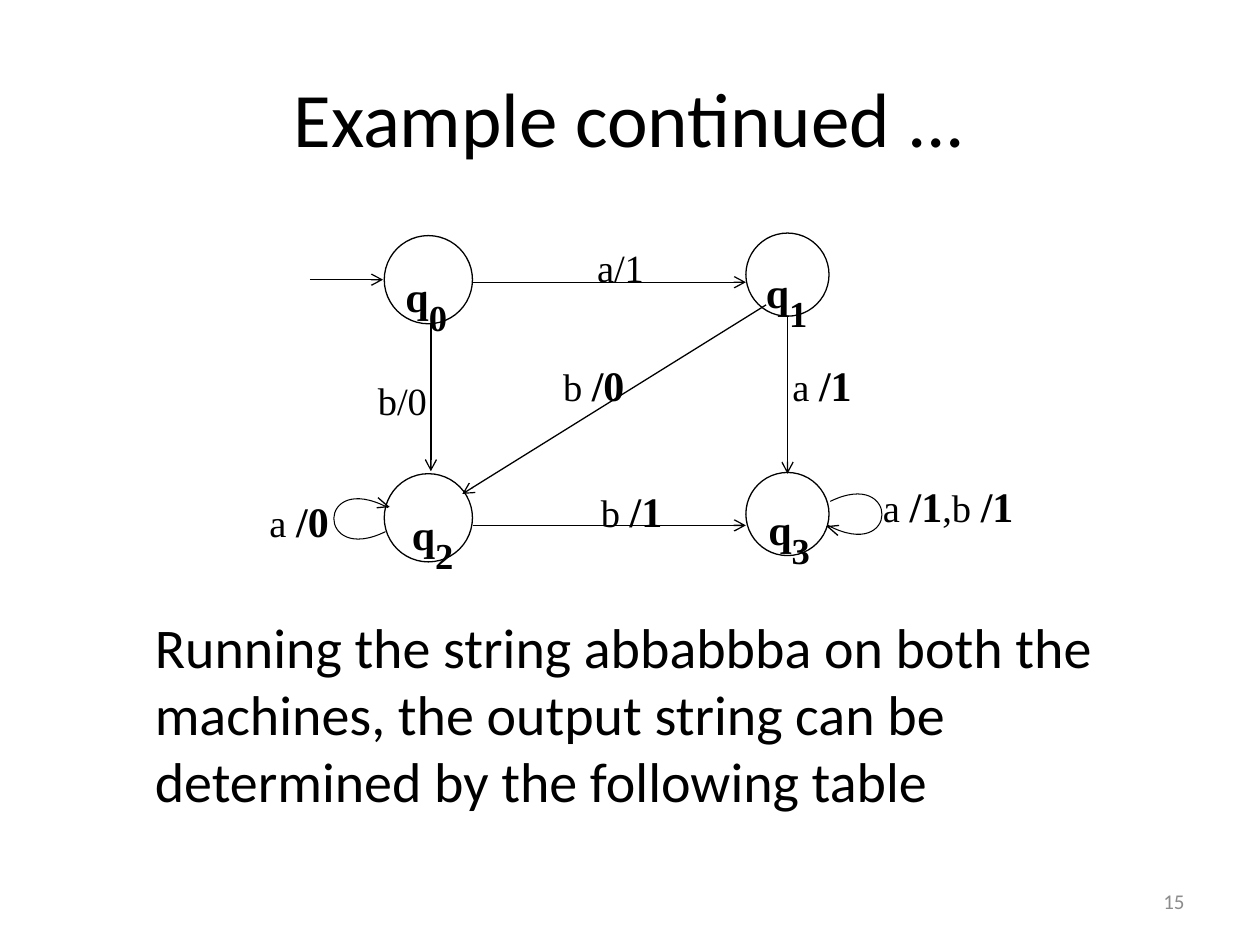
from lxml.etree import SubElement
from pptx import Presentation
from pptx.dml.color import RGBColor
from pptx.enum.shapes import MSO_CONNECTOR, MSO_SHAPE
from pptx.enum.text import MSO_ANCHOR, PP_ALIGN
from pptx.oxml.ns import qn
from pptx.util import Inches, Pt

COLORS = {"ink": "000000", "paper": "FFFFFF", "muted": "8C8C8C"}
SANS, SERIF = "Calibri", "Times New Roman"
PLAIN = {"name": SERIF, "size": Pt(22), "bold": False}
BOLD = {"name": SERIF, "size": Pt(24), "bold": True}
SUBSCRIPT = {"name": SERIF, "size": Pt(36), "bold": True}

STATES = [
    ("0", 1.05, 0.07, 0.70, 1.12, 0.09),
    ("1", 3.92, 0.05, 0.66, 3.98, 0.06),
    ("2", 1.05, 1.96, 0.70, 1.17, 1.98),
    ("3", 3.92, 1.95, 0.66, 4.00, 1.94),
]
ARROWS = [
    (0.46, 0.42, 1.04, 0.42),
    (1.75, 0.44, 3.92, 0.44),
    (4.25, 0.71, 4.25, 1.96),
    (1.42, 0.77, 1.42, 1.94),
    (4.08, 0.62, 1.67, 2.12),
    (1.75, 2.37, 3.92, 2.37),
]
LABELS = [
    (2.64, 0.05, 1.01, [("a/1", PLAIN)]),
    (0.90, 1.10, 1.01, [("b/0", PLAIN)]),
    (2.37, 0.96, 1.01, [("b ", PLAIN), ("/0", BOLD)]),
    (4.19, 0.96, 1.01, [("a ", PLAIN), ("/1", BOLD)]),
    (2.67, 1.96, 1.01, [("b ", PLAIN), ("/1", BOLD)]),
    (0.04, 2.04, 1.01, [("a ", PLAIN), ("/0", BOLD)]),
    (4.91, 1.92, 1.40, [("a ", PLAIN), ("/1", BOLD), (",b ", PLAIN), ("/1", BOLD)]),
]
LOOPS = [(4.57, 2.37, 1), (1.08, 2.23, -1)]
LOOP_CURVE = [(0.02, -0.19), (0.57, -0.46), (0.57, 0.30), (0, 0)]
LOOP_BARBS = [[(0, 0.01), (0.08, 0.08)], [(0.09, 0), (-0.01, 0.01)]]


def add_text(page, left, top, width, height, runs, color="ink",
             align=PP_ALIGN.LEFT, anchor=MSO_ANCHOR.TOP, margin_top=0.05):
    """Place one paragraph of formatted runs and return its spans."""
    box = page.shapes.add_textbox(*map(Inches, (left, top, width, height)))
    frame = box.text_frame
    frame_format = {"word_wrap": True, "vertical_anchor": anchor,
                    "margin_top": Inches(margin_top)}
    for name, value in frame_format.items():
        setattr(frame, name, value)
    para = frame.paragraphs[0]
    para.alignment = align
    for text, font_format in runs:
        span = para.add_run()
        span.text = text
        for name, value in font_format.items():
            setattr(span.font, name, value)
        span.font.color.rgb = RGBColor.from_string(COLORS[color])
    return para.runs


def set_line(shape, width=0.75):
    """Give a shape or connector a thin dark line."""
    shape.line.width = Pt(width)
    shape.line.color.rgb = RGBColor.from_string(COLORS["ink"])


def add_state(page, left, top, size, name, label_left, label_top):
    """Draw a state circle with its subscripted name."""
    circle = page.shapes.add_shape(
        MSO_SHAPE.OVAL, *map(Inches, (left, top, size, size)))
    circle.shadow.inherit = False
    circle.fill.solid()
    circle.fill.fore_color.rgb = RGBColor.from_string(COLORS["paper"])
    set_line(circle)
    spans = add_text(page, label_left, label_top, 0.96, 0.45,
                     [("q", BOLD), (name, SUBSCRIPT)], margin_top=0.09)
    spans[1].font._element.set("baseline", "-30000")


def add_arrow(page, *ends):
    """Draw a straight transition with an open arrowhead."""
    arrow = page.shapes.add_connector(MSO_CONNECTOR.STRAIGHT, *map(Inches, ends))
    set_line(arrow)
    SubElement(arrow.line._get_or_add_ln(), qn("a:tailEnd"), type="arrow")
    SubElement(arrow._element.spPr, qn("a:effectLst"))


def add_path(page, points, width=0.75):
    """Draw an open unfilled path through the points."""
    start, *rest = [tuple(map(Inches, point)) for point in points]
    builder = page.shapes.build_freeform(*start)
    builder.add_line_segments(rest, close=False)
    shape = builder.convert_to_shape()
    shape.shadow.inherit = False
    shape.fill.background()
    set_line(shape, width)
    return shape


def add_loop(page, left, top, side):
    """Draw a self transition that opens to the given side of its tip."""
    def place(points):
        """Move loop points to the tip and turn them to the side."""
        return [(left + side * x, top + side * y) for x, y in points]

    loop = add_path(page, place(LOOP_CURVE), 0.6)
    outline = next(loop._element.iter(qn("a:path")))
    curve = SubElement(outline, qn("a:cubicBezTo"))
    for segment in outline.findall(qn("a:lnTo")):
        curve.append(segment[0])
        outline.remove(segment)
    for barb in LOOP_BARBS:
        add_path(page, place(barb))


def add_diagram(page, left, top):
    """Draw the four-state machine from its top left corner."""
    for name, x, y, size, label_x, label_y in STATES:
        add_state(page, left + x, top + y, size, name, left + label_x, top + label_y)
    for start_x, start_y, end_x, end_y in ARROWS:
        add_arrow(page, left + start_x, top + start_y, left + end_x, top + end_y)
    for x, y, side in LOOPS:
        add_loop(page, left + x, top + y, side)
    for x, y, width, runs in LABELS:
        add_text(page, left + x, top + y, width, 0.41, runs, margin_top=0.09)


def add_title(page, *box):
    """Place the centred heading."""
    add_text(page, *box, [("Example continued ...", {"name": SANS, "size": Pt(44)})],
             align=PP_ALIGN.CENTER, anchor=MSO_ANCHOR.MIDDLE)


def add_body(page, *box):
    """Place the explanation below the machine."""
    sentence = ("Running the string abbabbba on both the machines, the output "
                "string can be determined by the following table")
    add_text(page, *box, [(sentence, {"name": SANS, "size": Pt(32)})])


def add_page_number(page, *box):
    """Place the page number at the lower right."""
    add_text(page, *box, [("15", {"name": SANS, "size": Pt(12)})], "muted",
             PP_ALIGN.RIGHT, MSO_ANCHOR.MIDDLE)


def main():
    """Build and save the deck."""
    deck = Presentation()
    deck.slide_width, deck.slide_height = Inches(10), Inches(7.5)
    page = deck.slides.add_slide(deck.slide_layouts[6])
    add_title(page, 0.5, 0.3, 9, 1.25)
    add_diagram(page, 2, 1.8)
    add_body(page, 1.13, 4.81, 8.12, 2.36)
    add_page_number(page, 7.17, 6.95, 2.33, 0.4)
    deck.save("out.pptx")


if __name__ == "__main__":
    main()
